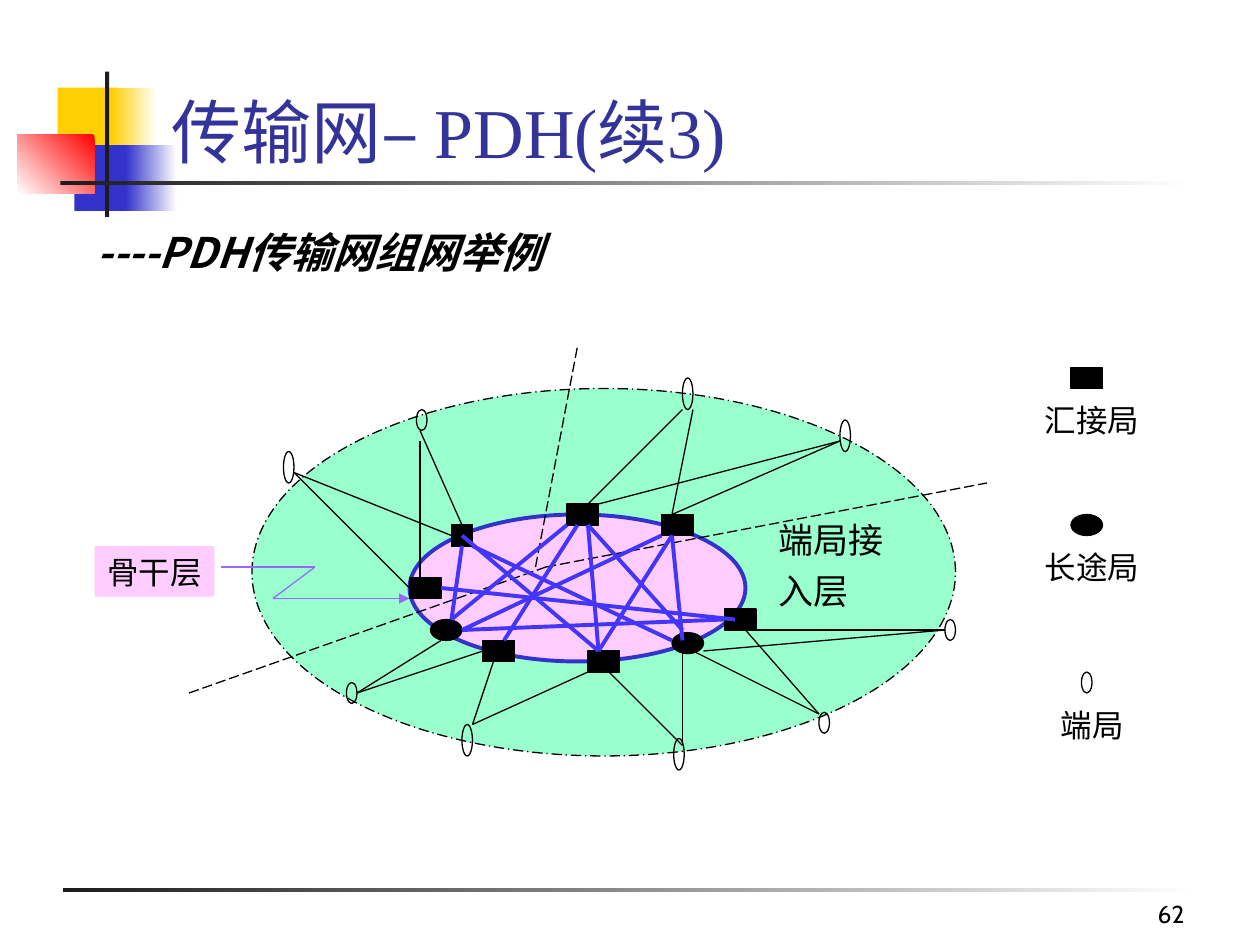
from itertools import pairwise
from lxml.etree import SubElement
from pptx import Presentation
from pptx.dml.color import RGBColor
from pptx.enum.dml import MSO_LINE
from pptx.enum.shapes import MSO_CONNECTOR, MSO_SHAPE
from pptx.enum.text import MSO_ANCHOR, MSO_AUTO_SIZE, PP_ALIGN
from pptx.oxml.ns import qn
from pptx.util import Pt

# Colours, fonts and type sizes
THEME = {
    "black": "000000", "white": "FFFFFF", "ink": "1C1C1C", "title": "333399",
    "yellow": "FFCF01", "blue": "3333CC", "red": "FF0000",
    "access": "99FFCC", "backbone": "FFCCFF", "trunk": "4335FB", "pointer": "9966FF",
    "serif": "Times New Roman", "chinese": "Noto Sans CJK SC", "number": "Cabin",
    "title_size": 40, "subtitle_size": 24, "zone_size": 20, "label_size": 18,
    "number_size": 14, "thin": 0.75, "thick": 2.25,
}

# Content (all lengths in points)
TITLE = "传输网– PDH(续3)"
SUBTITLE = "----PDH传输网组网举例"
ACCESS_LABEL = "端局接入层"
BACKBONE_LABEL = "骨干层"
PAGE_NUMBER = "62"

# Decoration: left, top, width, height, colour, gradient angle (None = solid)
DECORATION = [
    (33, 50, 34.5, 37, "yellow", None),
    (63.5, 50, 26, 37, "yellow", 0),
    (42.5, 83, 33, 37.5, "blue", None),
    (72, 83, 29, 37.5, "blue", 0),
    (10, 77, 44, 33.5, "red", 225),
    (60, 41, 2.4, 83, "ink", None),
    (34.5, 103.5, 648, 2.4, "ink", 0),
    (36, 507.5, 648, 2.4, "ink", 0),
]

# Exchanges: left, top, width, height
TANDEM = [
    (324, 288, 18, 12), (378, 294, 18, 12), (336, 372, 18, 12), (258, 300, 12, 12),
    (414, 348, 18, 12), (234, 330, 18, 12), (276, 366, 18, 12),
]
TOLL = [(246, 354, 18, 12), (384, 361.5, 18, 12)]
END_OFFICES = [
    (540, 354, 6, 12), (468, 407, 6, 12), (385, 422, 6, 18), (264, 414, 6, 18),
    (238, 234, 6, 12), (162, 258, 6, 18), (390, 216, 6, 18), (480, 240, 6, 18),
    (198, 390, 6, 12),
]

# Legend: text, kind, symbol box, label top
LEGEND = [
    ("汇接局", "tandem", (612, 210, 18, 12), 225.5),
    ("长途局", "toll", (612, 294, 18, 12), 309.5),
    ("端局", "end", (618, 384, 6, 12), 399.5),
]

# Each end office point with the points it links to
ACCESS_LINKS = [
    ((390, 426), [(348, 384), (390, 372)]),
    ((270, 414), [(336, 384), (282, 378)]),
    ((468, 408), [(396, 372), (426, 360)]),
    ((540, 360), [(402, 372), (432, 360)]),
    ((168, 270), [(258, 306), (234, 336)]),
    ((240, 246), [(264, 300)]),
    ((240, 252), [(240, 330)]),
    ((390, 234), [(336, 288)]),
    ((396, 234), [(384, 294)]),
    ((480, 252), [(342, 288), (384, 294)]),
    ((204, 396), [(252, 366), (276, 372)]),
]
ZONE_BORDERS = [
    ((108, 396), (312, 324)), ((312, 324), (564, 276)), ((306, 324), (330, 198)),
]
TRUNKS = [
    ((264, 312), (258, 354)), ((258, 354), (324, 300)), ((264, 360), (378, 306)),
    ((264, 360), (414, 354)), ((270, 312), (384, 366)), ((336, 300), (390, 360)),
    ((384, 306), (390, 366)), ((288, 366), (330, 300)), ((342, 372), (384, 306)),
    ((342, 372), (336, 300)), ((342, 372), (264, 306)), ((252, 336), (420, 354)),
]
POINTER = [(126, 324), (180, 324), (156, 342), (234, 342)]

deck = Presentation()
deck.slide_width, deck.slide_height = Pt(720), Pt(540)
page = deck.slides.add_slide(deck.slide_layouts[1])
sites = {}  # side midpoints of the tandem exchanges


def colour(name):
    return RGBColor.from_string(THEME[name])


def place(shape, frame):
    shape.left, shape.top, shape.width, shape.height = map(Pt, frame)


def add_part(kind, frame, fill=None, line=None, width="thin", dash=None, angle=None):
    shape = page.shapes.add_shape(kind, *map(Pt, frame))
    shape.shadow.inherit = False
    if fill is None:
        shape.fill.background()
    elif angle is None:
        shape.fill.solid()
        shape.fill.fore_color.rgb = colour(fill)
    else:
        shape.fill.gradient()
        shape.fill.gradient_angle = angle
        for stop, name in zip(shape.fill.gradient_stops, (fill, "white")):
            stop.color.rgb = colour(name)
    if line is None:
        shape.line.fill.background()
    else:
        shape.line.color.rgb = colour(line)
        shape.line.width = Pt(THEME[width])
        if dash:
            shape.line.dash_style = dash
    return shape


def write(box, text, size, font="serif", ink="black", align=PP_ALIGN.LEFT,
          anchor=MSO_ANCHOR.TOP, wrap=True, bold=False, italic=False):
    frame = box.text_frame
    frame.text = text
    frame.word_wrap = wrap
    frame.auto_size = MSO_AUTO_SIZE.NONE
    frame.vertical_anchor = anchor
    para = frame.paragraphs[0]
    para.alignment = align
    span = para.runs[0]
    span.font.name = THEME[font]
    span.font.size = Pt(THEME[size])
    span.font.bold, span.font.italic = bold, italic
    span.font.color.rgb = colour(ink)
    SubElement(span.font._element, qn("a:ea")).set("typeface", THEME["chinese"])
    return para


def write_label(box, text):
    write(box, text, "label_size", align=PP_ALIGN.CENTER,
          anchor=MSO_ANCHOR.MIDDLE, wrap=False)


def add_exchange(kind, frame):
    shape_type = MSO_SHAPE.RECTANGLE if kind == "tandem" else MSO_SHAPE.OVAL
    fill = None if kind == "end" else "black"
    return add_part(shape_type, frame, fill, "black")


def add_line(start, end, ink="black", width="thin", dash=None, arrow=False):
    line = page.shapes.add_connector(MSO_CONNECTOR.STRAIGHT, *map(Pt, start + end))
    line.line.color.rgb = colour(ink)
    line.line.width = Pt(THEME[width])
    if dash:
        line.line.dash_style = dash
    if arrow:
        SubElement(line.line._get_or_add_ln(), qn("a:tailEnd")).set("type", "triangle")
    SubElement(line._element.spPr, qn("a:effectLst"))
    if start in sites:
        line.begin_connect(*sites[start])
    if end in sites:
        line.end_connect(*sites[end])


# Decoration behind the title
for *frame, ink, angle in DECORATION:
    add_part(MSO_SHAPE.RECTANGLE, frame, ink, angle=angle)

# Title and subtitle
title, body = page.placeholders
place(title, (91, 18, 613, 84))
write(title, TITLE, "title_size", ink="title", anchor=MSO_ANCHOR.BOTTOM)
place(body, (48, 126, 612, 324))
para = write(body, SUBTITLE, "subtitle_size", font="chinese", bold=True, italic=True)
properties = para._p.get_or_add_pPr()
properties.set("marL", str(Pt(27)))
properties.set("indent", str(Pt(-27)))
SubElement(properties, qn("a:buNone"))
para.space_before = Pt(0)

# Access and backbone layers
add_part(MSO_SHAPE.OVAL, (144, 222, 402, 210), "access", "black",
         dash=MSO_LINE.LONG_DASH_DOT)
add_part(MSO_SHAPE.OVAL, (234, 294, 192, 84), "backbone", "blue", "thick")

# Exchanges
for left, top, width, height in TANDEM:
    node = add_exchange("tandem", (left, top, width, height))
    middle, centre = left + width / 2, top + height / 2
    corners = [(middle, top), (left, centre), (middle, top + height), (left + width, centre)]
    sites.update({point: (node, side) for side, point in enumerate(corners)})
for kind, frames in (("end", END_OFFICES), ("toll", TOLL)):
    for frame in frames:
        add_exchange(kind, frame)

# Access layer label
box = page.shapes.add_textbox(*map(Pt, (438, 288, 90, 65)))
write(box, ACCESS_LABEL, "zone_size").line_spacing = 1.2

# Legend
for text, kind, frame, top in LEGEND:
    add_exchange(kind, frame)
    write_label(page.shapes.add_textbox(Pt(590), Pt(top), Pt(68), Pt(29)), text)

# Links, zone borders and trunks
for office, ends in ACCESS_LINKS:
    for end in ends:
        add_line(office, end)
for start, end in ZONE_BORDERS:
    add_line(start, end, dash=MSO_LINE.LONG_DASH)
for start, end in TRUNKS:
    add_line(start, end, "trunk", "thick")

# Backbone label with its pointer
write_label(add_part(MSO_SHAPE.RECTANGLE, (54, 312, 68.5, 29), "backbone"), BACKBONE_LABEL)
for start, end in pairwise(POINTER):
    add_line(start, end, "pointer", arrow=end == POINTER[-1])

# Page number
box = page.shapes.add_textbox(*map(Pt, (534, 498, 150, 36)))
write(box, PAGE_NUMBER, "number_size", font="number", align=PP_ALIGN.RIGHT,
      anchor=MSO_ANCHOR.BOTTOM)

deck.save("out.pptx")
